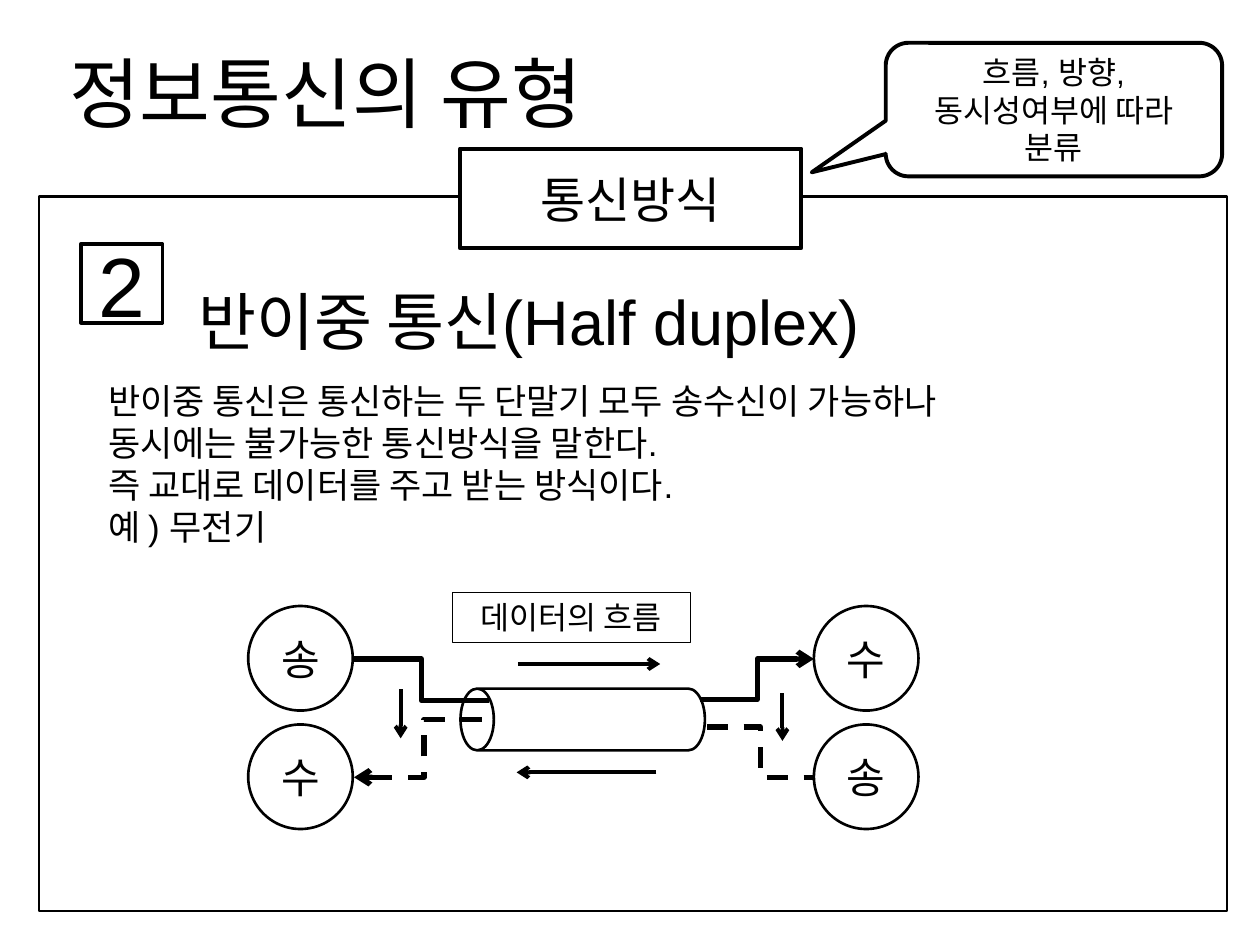
"""Build a slide that explains half duplex communication."""
from lxml import etree
from pptx import Presentation
from pptx import util as u
from pptx.dml.color import RGBColor
from pptx.enum import dml, shapes, text
from pptx.oxml.ns import qn

BLACK = RGBColor(0, 0, 0)
WHITE = RGBColor(255, 255, 255)
PX = 9144
LATO, ARIAL, NOTO = "Lato", "Arial", "Noto Sans CJK KR"
SHAPE = shapes.MSO_SHAPE
STRAIGHT, ELBOW = shapes.MSO_CONNECTOR.STRAIGHT, shapes.MSO_CONNECTOR.ELBOW


class Diagram:
    def __init__(self, slide):
        self.slide = slide

    def add_lines(self, shape, lines, size, font, align):
        frame = shape.text_frame
        frame.word_wrap = True
        paragraph = frame.paragraphs[0]
        paragraph.alignment = align
        for index, line in enumerate(lines):
            if index:
                paragraph.add_line_break()
            run = paragraph.add_run()
            run.text = line
            run.font.size = u.Pt(size)
            run.font.name = font
            run.font.color.rgb = BLACK
            east_asian = etree.SubElement(run.font._element, qn("a:ea"))
            east_asian.set("typeface", NOTO)

    def label(self, box, lines, size, font):
        shape = self.slide.shapes.add_textbox(*(n * PX for n in box))
        self.add_lines(shape, lines, size, font, text.PP_ALIGN.LEFT)

    def shape(self, kind, box, width, lines=(), size=18, font=ARIAL, adjustments=()):
        shape = self.slide.shapes.add_shape(kind, *(n * PX for n in box))
        shape.shadow.inherit = False
        shape.fill.solid()
        shape.fill.fore_color.rgb = WHITE
        shape.line.color.rgb = BLACK
        shape.line.width = u.Pt(width)
        for index, value in enumerate(adjustments):
            shape.adjustments[index] = value
        shape.text_frame.vertical_anchor = text.MSO_ANCHOR.MIDDLE
        self.add_lines(shape, lines, size, font, text.PP_ALIGN.CENTER)
        return shape

    def connector(self, kind, points, width, arrow=None, dashed=False):
        connector = self.slide.shapes.add_connector(kind, *(n * PX for n in points))
        connector.line.color.rgb = BLACK
        connector.line.width = u.Pt(width)
        if dashed:
            connector.line.dash_style = dml.MSO_LINE.DASH
        properties = connector._element.spPr
        if arrow:
            line = properties.find(qn("a:ln"))
            etree.SubElement(line, qn(f"a:{arrow}")).set("type", "arrow")
        etree.SubElement(properties, qn("a:effectLst"))


def main():
    presentation = Presentation()
    presentation.slide_width, presentation.slide_height = 1000 * PX, 750 * PX
    slide = presentation.slides.add_slide(presentation.slide_layouts[6])
    diagram = Diagram(slide)

    diagram.label((45, 31, 547, 84), ["정보통신의 유형"], 44, LATO)
    diagram.shape(SHAPE.RECTANGLE, (31, 156, 943, 567), 1.5)
    diagram.shape(SHAPE.RECTANGLE, (365, 118, 271, 79), 2.25, ["통신방식"], 28, LATO)
    diagram.shape(SHAPE.ROUNDED_RECTANGULAR_CALLOUT, (703, 34, 267, 106), 2.25,
                  ["흐름, 방향,", "동시성여부에 따라", "분류"],
                  adjustments=(-0.72, 0.47, 0.17))
    diagram.shape(SHAPE.RECTANGLE, (64, 194, 65, 62), 2.25, ["2"], 48)
    diagram.label((148, 219, 675, 71), ["반이중 통신(Half duplex)"], 36, ARIAL)
    diagram.label((76, 296, 924, 145), [
        "반이중 통신은 통신하는 두 단말기 모두 송수신이 가능하나",
        "동시에는 불가능한 통신방식을 말한다.",
        "즉 교대로 데이터를 주고 받는 방식이다.",
        "예 ) 무전기",
    ], 20, ARIAL)

    for left, roles in ((197, "송수"), (646, "수송")):
        for row, role in enumerate(roles):
            diagram.shape(SHAPE.OVAL, (left, 481 + 94 * row, 83, 83), 1.5,
                          [role], 24, LATO)

    channel = diagram.shape(SHAPE.CAN, (438, 474, 49, 194), 1.5, adjustments=(0.54,))
    channel.rotation = 270

    for points, arrow, dashed in (
        ((281, 523, 388, 556), None, False),
        ((281, 617, 392, 571), "headEnd", True),
        ((561, 577, 646, 617), None, True),
        ((556, 555, 646, 523), "tailEnd", False),
    ):
        diagram.connector(ELBOW, points, 3, arrow, dashed)

    for points in ((411, 527, 524, 527), (521, 613, 410, 613),
                   (621, 550, 621, 588), (318, 547, 318, 586)):
        diagram.connector(STRAIGHT, points, 2.25, "tailEnd")

    diagram.shape(SHAPE.RECTANGLE, (359, 470, 189, 40), 0.75,
                  ["데이터의 흐름"], 18, NOTO)
    presentation.save("out.pptx")


if __name__ == "__main__":
    main()
